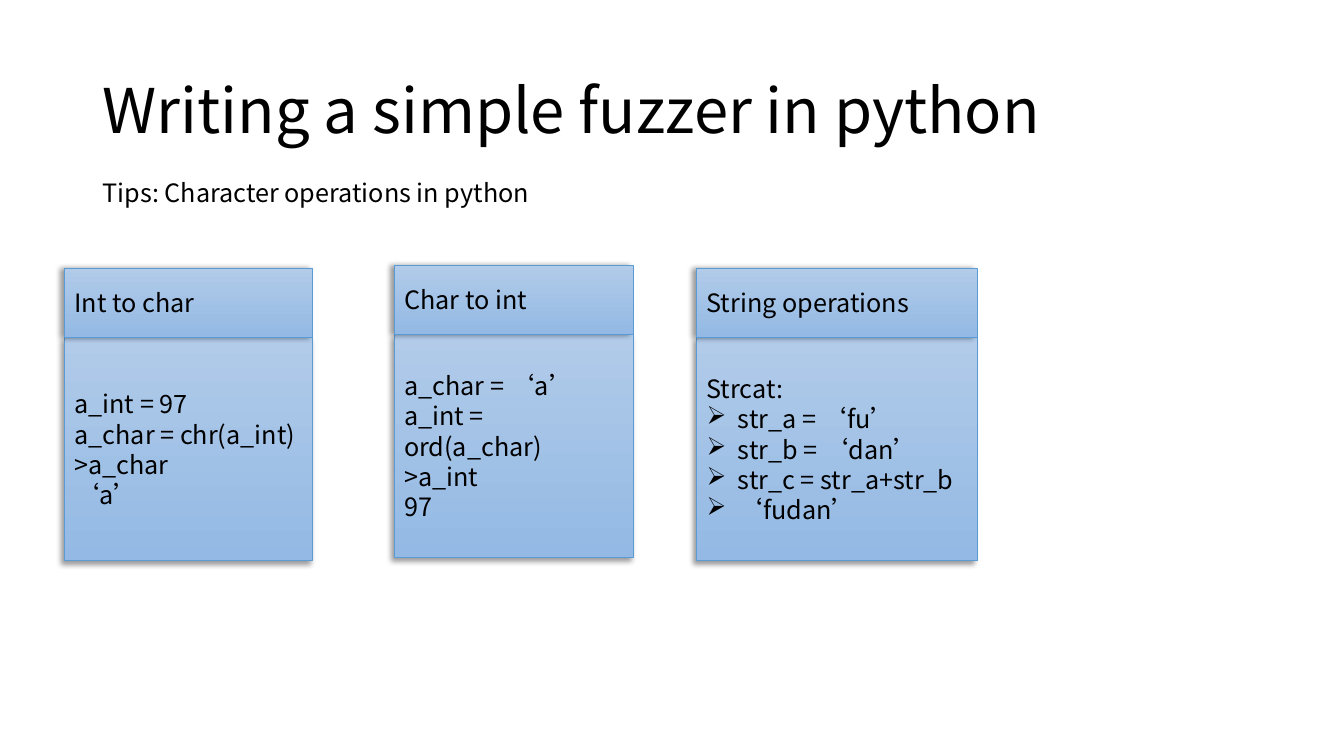
from dataclasses import dataclass

from lxml import etree
from pptx import Presentation
from pptx.dml.color import RGBColor
from pptx.enum import shapes, text
from pptx.oxml import ns
from pptx.util import Inches, Pt

FONT = "Noto Sans CJK SC"
COLORS = {
    "text": "000000",
    "top": "B1CBE9",
    "bottom": "93B9E4",
    "line": "5B9BD5",
    "shadow": "000000",
}
HEADER_HEIGHT = 0.69
BODY_HEIGHT = 2.21
BULLET = "➢"
BULLET_INDENT = Inches(0.31)


@dataclass
class Card:
    left: float
    top: float
    width: float
    heading: str
    lines: list[str]


CARDS = [
    Card(0.64, 2.66, 2.46, "Int to char",
         ["a_int = 97", "a_char = chr(a_int)", ">a_char", "‘a’"]),
    Card(3.91, 2.63, 2.37, "Char to int",
         ["a_char = ‘a’", "a_int = ord(a_char)", ">a_int", "97"]),
    Card(6.91, 2.66, 2.78, "String operations",
         ["Strcat:", "➢str_a = ‘fu’", "➢str_b = ‘dan’",
          "➢str_c = str_a+str_b", "➢‘fudan’"]),
]


def color(name: str) -> RGBColor:
    return RGBColor.from_string(COLORS[name])


def add_child(parent, tag: str, **attributes: str):
    return etree.SubElement(parent, ns.qn(tag), attributes)


def write(box, lines: list[str], size: int = 18, spacing: float = 1.0,
          anchor=text.MSO_ANCHOR.MIDDLE) -> None:
    frame = box.text_frame
    frame.word_wrap = True
    frame.vertical_anchor = anchor
    for index, line in enumerate(lines):
        para = frame.paragraphs[0] if index == 0 else frame.add_paragraph()
        para.alignment = text.PP_ALIGN.LEFT
        para.line_spacing = spacing
        if line.startswith(BULLET):
            properties = para._p.get_or_add_pPr()
            properties.set("marL", str(BULLET_INDENT))
            properties.set("indent", str(-BULLET_INDENT))
            add_child(properties, "a:buChar", char=BULLET)
        span = para.add_run()
        span.text = line.removeprefix(BULLET)
        span.font.size = Pt(size)
        span.font.name = FONT
        span.font.color.rgb = color("text")
        add_child(span._r.get_or_add_rPr(), "a:ea", typeface=FONT)


def add_text(page, left: float, top: float, width: float, height: float,
             line: str, **style) -> None:
    box = page.shapes.add_textbox(
        Inches(left), Inches(top), Inches(width), Inches(height))
    write(box, [line], **style)


def add_shadow(box, angle: int) -> None:
    box.shadow.inherit = False
    effects = box._element.spPr.find(ns.qn("a:effectLst"))
    shadow = add_child(effects, "a:outerShdw", blurRad=str(Pt(4)),
                       dist=str(Pt(3)), dir=str(angle * 60000),
                       algn="ctr", rotWithShape="0")
    tint = add_child(shadow, "a:srgbClr", val=COLORS["shadow"])
    add_child(tint, "a:alpha", val="40000")


def add_panel(page, card: Card, top: float, height: float,
              lines: list[str], shadow_angle: int) -> None:
    box = page.shapes.add_shape(
        shapes.MSO_SHAPE.RECTANGLE, Inches(card.left), Inches(top),
        Inches(card.width), Inches(height))
    box.fill.gradient()
    box.fill.gradient_angle = 270
    for stop, name in zip(box.fill.gradient_stops, ("top", "bottom")):
        stop.color.rgb = color(name)
    box.line.color.rgb = color("line")
    box.line.width = Pt(0.5)
    add_shadow(box, shadow_angle)
    write(box, lines)


def add_card(page, card: Card) -> None:
    add_panel(page, card, card.top + HEADER_HEIGHT, BODY_HEIGHT,
              card.lines, 135)
    add_panel(page, card, card.top, HEADER_HEIGHT, [card.heading], 180)


deck = Presentation()
deck.slide_width = Inches(13.33)
deck.slide_height = Inches(7.5)
page = deck.slides.add_slide(deck.slide_layouts[6])

add_text(page, 0.92, 0.4, 11.5, 1.45, "Writing a simple fuzzer in python",
         size=44, spacing=0.9)
add_text(page, 0.92, 1.71, 5.72, 0.4, "Tips: Character operations in python",
         anchor=text.MSO_ANCHOR.TOP)
for card in CARDS:
    add_card(page, card)

deck.save("out.pptx")
